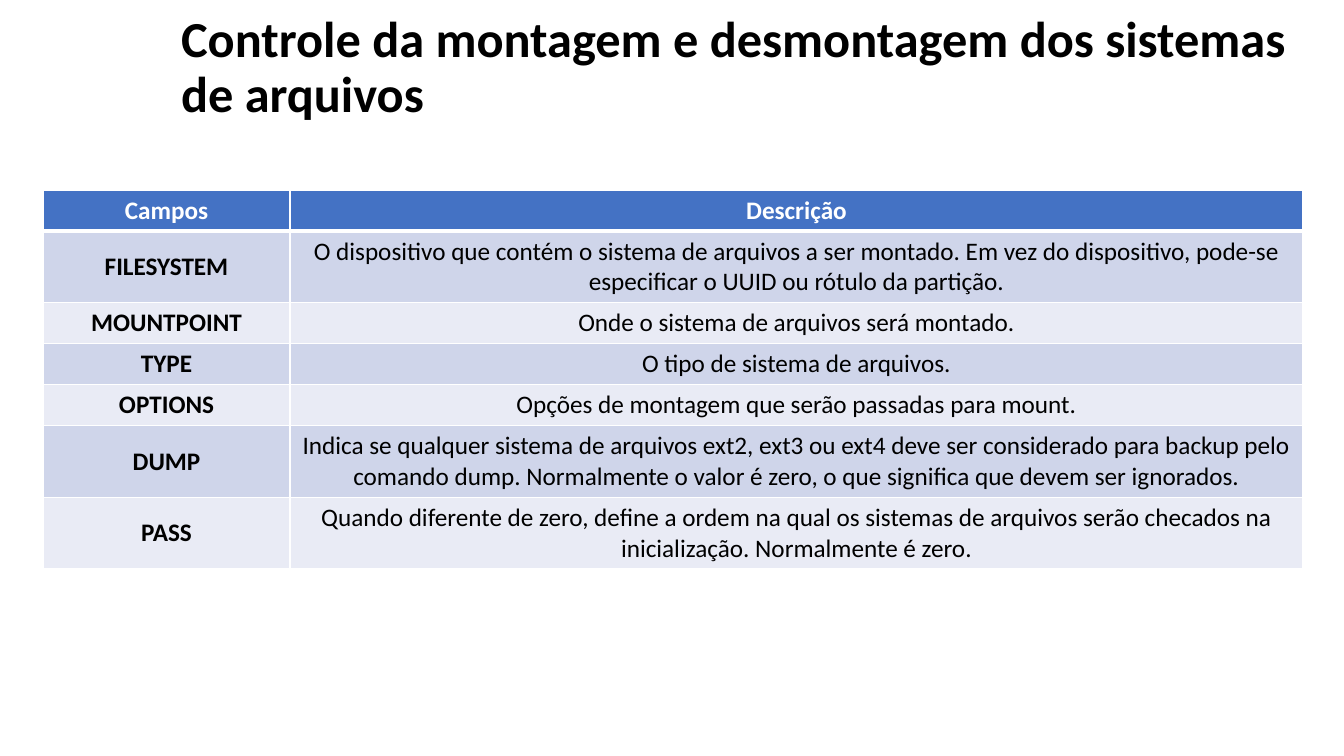
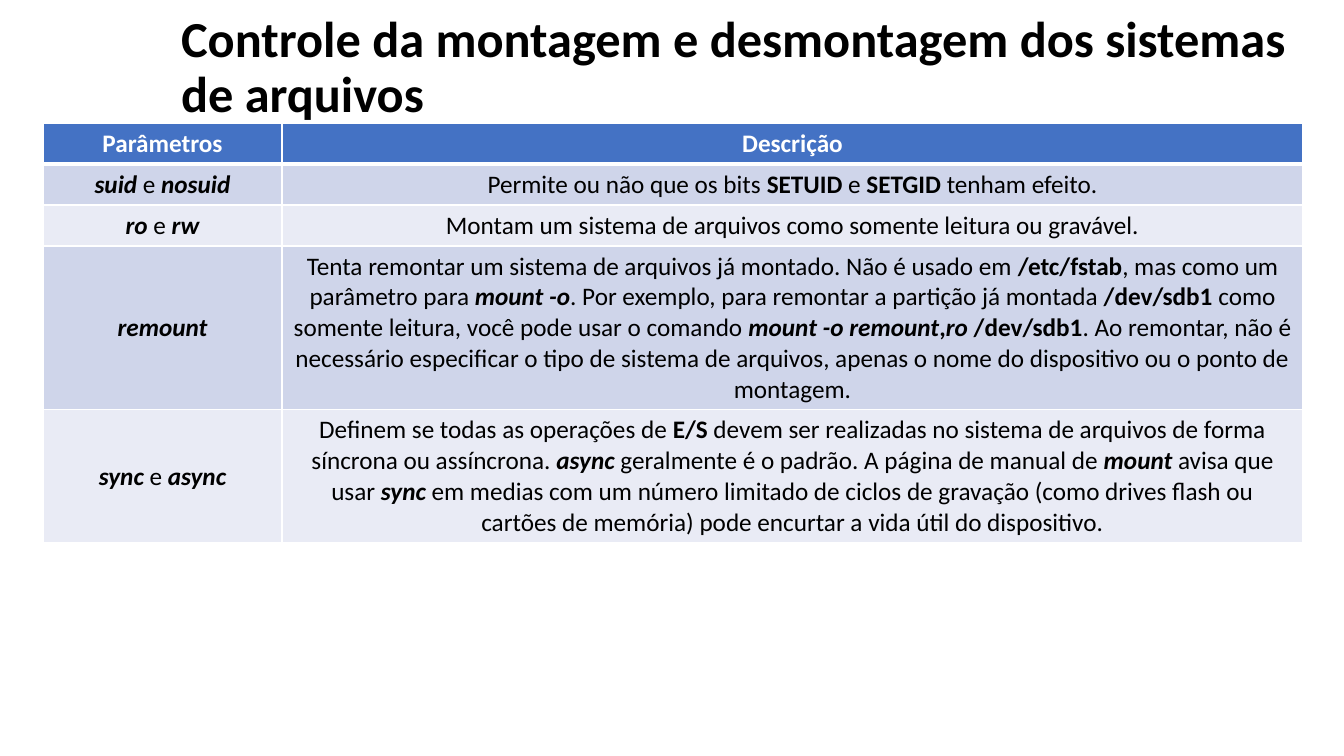
from pptx import Presentation
from pptx.dml.color import RGBColor
from pptx.enum.text import MSO_ANCHOR, MSO_AUTO_SIZE, PP_ALIGN
from pptx.oxml.ns import qn
from pptx.util import Pt
from lxml import etree

MIDDLE = MSO_ANCHOR.MIDDLE
NO_FIT = MSO_AUTO_SIZE.NONE
LEFT = PP_ALIGN.LEFT
CENTER = PP_ALIGN.CENTER

EMU_PER_PX = 914400 / 100.8
TITLE_ONLY = 5
FONT = "Calibri"
BLACK = RGBColor(0x00, 0x00, 0x00)
WHITE = RGBColor(0xFF, 0xFF, 0xFF)
HEADER_BLUE = RGBColor(0x44, 0x72, 0xC4)
BANDS = (RGBColor(0xCF, 0xD5, 0xEA), RGBColor(0xE9, 0xEB, 0xF5))

TITLE = "Controle da montagem e desmontagem dos sistemas de arquivos"
TABLE_LEFT, TABLE_WIDTH, ROW_HEIGHT = 43, 1260, 41

FSTAB_FIELDS = [
    ("*Campos*", "*Descrição*"),
    ("*FILESYSTEM*", "O dispositivo que contém o sistema de arquivos a ser montado. "
     "Em vez do dispositivo, pode-se especificar o UUID ou rótulo da partição."),
    ("*MOUNTPOINT*", "Onde o sistema de arquivos será montado."),
    ("*TYPE*", "O tipo de sistema de arquivos."),
    ("*OPTIONS*", "Opções de montagem que serão passadas para mount."),
    ("*DUMP*", "Indica se qualquer sistema de arquivos ext2, ext3 ou ext4 deve ser "
     "considerado para backup pelo comando dump. Normalmente o valor é zero, "
     "o que significa que devem ser ignorados."),
    ("*PASS*", "Quando diferente de zero, define a ordem na qual os sistemas de arquivos "
     "serão checados na inicialização. Normalmente é zero."),
]

MOUNT_PARAMETERS = [
    ("*Parâmetros*", "*Descrição*"),
    ("*_suid_* e *_nosuid_*",
     "Permite ou não que os bits *SETUID* e *SETGID* tenham efeito."),
    ("*_ro_* e *_rw_*",
     "Montam um sistema de arquivos como somente leitura ou gravável."),
    ("*_remount_*",
     "Tenta remontar um sistema de arquivos já montado. Não é usado em */etc/fstab*, "
     "mas como um parâmetro para *_mount -o_*. Por exemplo, para remontar a partição "
     "já montada */dev/sdb1 *como somente leitura, você pode usar o comando "
     "*_mount -o remount_,_ro _/dev/sdb1*. Ao remontar, não é necessário especificar "
     "o tipo de sistema de arquivos, apenas o nome do dispositivo ou o ponto de montagem."),
    ("*_sync_* e *_async_*",
     "Definem se todas as operações de *E/S *devem ser realizadas no sistema de arquivos "
     "de forma síncrona ou assíncrona. *_async_* geralmente é o padrão. A página de "
     "manual de *_mount_* avisa que usar *_sync_* em medias com um número limitado de "
     "ciclos de gravação (como drives flash ou cartões de memória) pode encurtar a vida "
     "útil do dispositivo."),
]


def px(length):
    return round(length * EMU_PER_PX)


def split_styles(marked_text):
    for bold_index, piece in enumerate(marked_text.split("*")):
        for italic_index, text in enumerate(piece.split("_")):
            if text:
                yield text, bold_index % 2 == 1, italic_index % 2 == 1


class SlideBuilder:
    def __init__(self):
        self.deck = Presentation()
        self.deck.slide_width = px(1344)
        self.deck.slide_height = px(756)
        self.page = None

    def add_page(self, title):
        self.page = self.deck.slides.add_slide(self.deck.slide_layouts[TITLE_ONLY])
        box = self.page.shapes.title
        box.left, box.top, box.width, box.height = map(px, (171, 26, 1132, 85))
        frame = box.text_frame
        frame.text = title
        frame.word_wrap = True
        frame.auto_size = NO_FIT
        frame.vertical_anchor = MIDDLE
        para = frame.paragraphs[0]
        para.alignment = LEFT
        para.line_spacing = 0.9
        self.style_span(para.runs[0], 36, BLACK, True)

    def style_span(self, span, size, color, bold, italic=False):
        font = span.font
        font.name = FONT
        font.size = Pt(size)
        font.bold = bold
        font.italic = italic
        font.color.rgb = color

    def add_table(self, top, height, first_width, rows):
        widths = (first_width, TABLE_WIDTH - first_width)
        frame = self.page.shapes.add_table(
            len(rows), len(widths), px(TABLE_LEFT), px(top), px(TABLE_WIDTH), px(height))
        table = frame.table
        for column, width in zip(table.columns, widths):
            column.width = px(width)
        for row_index, texts in enumerate(rows):
            table.rows[row_index].height = px(ROW_HEIGHT)
            for column_index, text in enumerate(texts):
                self.fill_cell(table.cell(row_index, column_index), text, row_index)
        frame.height = px(height)

    def fill_cell(self, cell, marked_text, row_index):
        is_header = row_index == 0
        borders = {"a:lnL": 1, "a:lnR": 1}
        if is_header:
            borders["a:lnT"] = 1
        borders["a:lnB"] = 3 if is_header else 1
        self.add_borders(cell, borders)
        cell.fill.solid()
        cell.fill.fore_color.rgb = HEADER_BLUE if is_header else BANDS[(row_index - 1) % 2]
        cell.vertical_anchor = MIDDLE
        para = cell.text_frame.paragraphs[0]
        para.alignment = CENTER
        for text, bold, italic in split_styles(marked_text):
            span = para.add_run()
            span.text = text
            self.style_span(span, 18, WHITE if is_header else BLACK, bold, italic)

    def add_borders(self, cell, borders):
        properties = cell._tc.get_or_add_tcPr()
        for tag, points in borders.items():
            line = etree.SubElement(properties, qn(tag), w=str(Pt(points)))
            fill = etree.SubElement(line, qn("a:solidFill"))
            etree.SubElement(fill, qn("a:srgbClr"), val=str(WHITE))


def main():
    builder = SlideBuilder()
    builder.add_page(TITLE)
    builder.add_table(190, 375, 247, FSTAB_FIELDS)
    builder.add_page(TITLE)
    builder.add_table(123, 415, 239, MOUNT_PARAMETERS)
    builder.deck.save("out.pptx")


if __name__ == "__main__":
    main()
